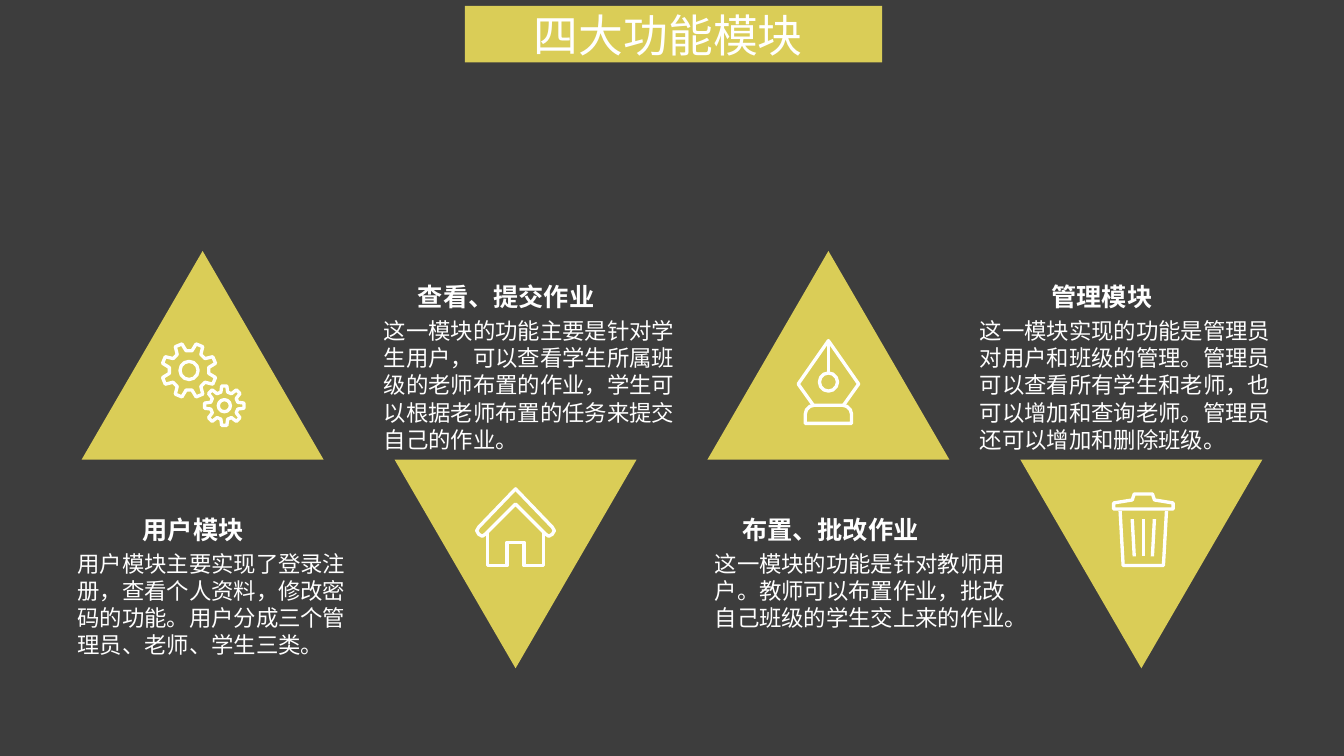
from dataclasses import dataclass
from math import cos, radians, sin

from lxml import etree
from pptx import Presentation
from pptx import util as u
from pptx.dml import color
from pptx.enum import shapes, text
from pptx.oxml import ns

COLUMNS, ROWS = 1333, 750
CELL = u.Inches(13.33) // COLUMNS
BASELINE = 456
TRIANGLE_WIDTH, TRIANGLE_HEIGHT = 240, 207
FIRST_CENTER, CENTER_STEP = 201, 310.33


@dataclass(frozen=True)
class Theme:
    background: color.RGBColor = color.RGBColor(0x3D, 0x3D, 0x3D)
    accent: color.RGBColor = color.RGBColor(0xDA, 0xCD, 0x57)
    white: color.RGBColor = color.RGBColor(0xFF, 0xFF, 0xFF)
    title_font: str = "Arial Narrow"
    text_font: str = "Noto Sans CJK KR"
    title_size: int = 32
    heading_size: int = 18
    body_size: int = 16
    line_height: float = 1.21
    stroke: float = 2.38


THEME = Theme()


def cells(*counts):
    return [u.Emu(round(count * CELL)) for count in counts]


def add_block(page, kind, area):
    shape = page.shapes.add_shape(kind, *cells(*area))
    shape.shadow.inherit = False
    shape.fill.solid()
    shape.fill.fore_color.rgb = THEME.accent
    shape.line.fill.background()
    return shape


def draw_stroke(shape):
    shape.line.color.rgb = THEME.white
    shape.line.width = u.Pt(THEME.stroke)
    etree.SubElement(shape.line._get_or_add_ln(), ns.qn("a:round"))


def add_outline(page, kind, area):
    shape = page.shapes.add_shape(kind, *cells(*area))
    shape.shadow.inherit = False
    shape.fill.background()
    draw_stroke(shape)
    return shape


def add_path(page, points, close=False):
    corners = [cells(*point) for point in points]
    builder = page.shapes.build_freeform(*corners[0], scale=1.0)
    builder.add_line_segments(corners[1:], close=close)
    shape = builder.convert_to_shape()
    shape.shadow.inherit = False
    shape.fill.background()
    draw_stroke(shape)


def add_stroke(page, start, end):
    line = page.shapes.add_connector(shapes.MSO_CONNECTOR.STRAIGHT, *cells(*start, *end))
    draw_stroke(line)
    etree.SubElement(line._element.spPr, ns.qn("a:effectLst"))


def add_ring(page, x, y, radius):
    add_outline(page, shapes.MSO_SHAPE.OVAL, (x - radius, y - radius, 2 * radius, 2 * radius))


def add_text(page, words, area, size, font, bold=False, centered=False):
    box = page.shapes.add_textbox(*cells(*area))
    frame = box.text_frame
    frame.word_wrap = True
    frame.text = words
    para = frame.paragraphs[0]
    para.line_spacing = u.Pt(round(size * THEME.line_height, 1))
    para.alignment = text.PP_ALIGN.CENTER if centered else text.PP_ALIGN.LEFT
    span = para.runs[0]
    span.font.size = u.Pt(size)
    span.font.name = font
    span.font.bold = bold
    span.font.color.rgb = THEME.white
    etree.SubElement(span._r.get_or_add_rPr(), ns.qn("a:ea"), typeface=font)


def add_gear(page, x, y, tip, root, hole, turn):
    profile = [(-14, root), (-7.5, tip), (7.5, tip), (14, root)]
    points = []
    for tooth in range(8):
        for offset, radius in profile:
            angle = radians(45 * tooth + turn + offset)
            points.append((x + radius * cos(angle), y + radius * sin(angle)))
    add_path(page, points, close=True)
    add_ring(page, x, y, hole)


def draw_gears(page, center):
    add_gear(page, center - 13.5, 367.5, 27.2, 19.7, 9, 22.5)
    add_gear(page, center + 21.5, 402.5, 19.7, 13.8, 6, 0)


def draw_house(page, center):
    eave = [(30, 530), (33, 532), (36.5, 530), (38.5, 526.5), (36.5, 523)]
    right = [(center + x, y) for x, y in eave]
    left = [(center - x, y) for x, y in reversed(eave)]
    add_path(page, [(center, 500), *right, (center, 485), *left], close=True)
    walls = [(-28, 529), (-28, 561), (-8.5, 561), (-8.5, 538)]
    add_path(page, [(center + x, y) for x, y in walls]
             + [(center - x, y) for x, y in reversed(walls)])


def draw_pen(page, center):
    add_ring(page, center, 379, 9)
    base = add_outline(page, shapes.MSO_SHAPE.ROUND_2_SAME_RECTANGLE, (center - 23, 402, 46, 18))
    base.adjustments[0] = 0.5
    nib = [(15, 402), (30, 381), (0, 338), (-30, 381), (-15, 402)]
    add_path(page, [(center + x, y) for x, y in nib])
    add_stroke(page, (center, 338), (center, 370))


def draw_bin(page, center):
    middle = center + 2
    body = [(23, 507), (20, 561), (-20, 561), (-23, 507)]
    add_path(page, [(middle + x, y) for x, y in body])
    lid = [(29.5, 505), (29.5, 499), (11, 496), (9, 490)]
    add_path(page, [(middle + x, y) for x, y in lid]
             + [(middle - x, y) for x, y in reversed(lid)], close=True)
    for side in (-1, 0, 1):
        add_stroke(page, (middle + 11 * side, 515), (middle + 9 * side, 552))


MODULES = [
    ("用户模块",
     "用户模块主要实现了登录注册，查看个人资料，修改密码的功能。用户分成三个管理员、老师、学生三类。",
     67, 251, 307, draw_gears),
    ("查看、提交作业",
     "这一模块的功能主要是针对学生用户，可以查看学生所属班级的老师布置的作业，学生可以根据老师布置的任务来提交自己的作业。",
     371, 264, 322, draw_house),
    ("布置、批改作业",
     "这一模块的功能是针对教师用户。教师可以布置作业，批改自己班级的学生交上来的作业。",
     699, 251, 321, draw_pen),
    ("管理模块",
     "这一模块实现的功能是管理员对用户和班级的管理。管理员可以查看所有学生和老师，也可以增加和查询老师。管理员还可以增加和删除班级。",
     962, 264, 322, draw_bin),
]


def add_module(page, index, heading, body, left, heading_width, body_width, draw_icon):
    center = FIRST_CENTER + CENTER_STEP * index
    pointing_down = index % 2 == 1
    top = BASELINE if pointing_down else BASELINE - TRIANGLE_HEIGHT
    triangle = add_block(page, shapes.MSO_SHAPE.ISOSCELES_TRIANGLE,
                         (center - TRIANGLE_WIDTH / 2, top, TRIANGLE_WIDTH, TRIANGLE_HEIGHT))
    triangle.rotation = 180 if pointing_down else 0
    draw_icon(page, center)
    heading_top = 274 if pointing_down else 505
    body_height = 145 if pointing_down else 118
    add_text(page, body, (left, heading_top + 35.5, body_width, body_height),
             THEME.body_size, THEME.text_font)
    add_text(page, heading, (left - 1, heading_top, heading_width, 40),
             THEME.heading_size, THEME.text_font, bold=True, centered=True)


def main():
    deck = Presentation()
    deck.slide_width, deck.slide_height = cells(COLUMNS, ROWS)
    page = deck.slides.add_slide(deck.slide_layouts[6])
    page.background.fill.solid()
    page.background.fill.fore_color.rgb = THEME.background
    add_block(page, shapes.MSO_SHAPE.RECTANGLE, (461, 6, 414, 56))
    for index, module in enumerate(MODULES):
        add_module(page, index, *module)
    add_text(page, "四大功能模块 ", (478, 2, 380, 64),
             THEME.title_size, THEME.title_font, centered=True)
    deck.save("out.pptx")


if __name__ == "__main__":
    main()
